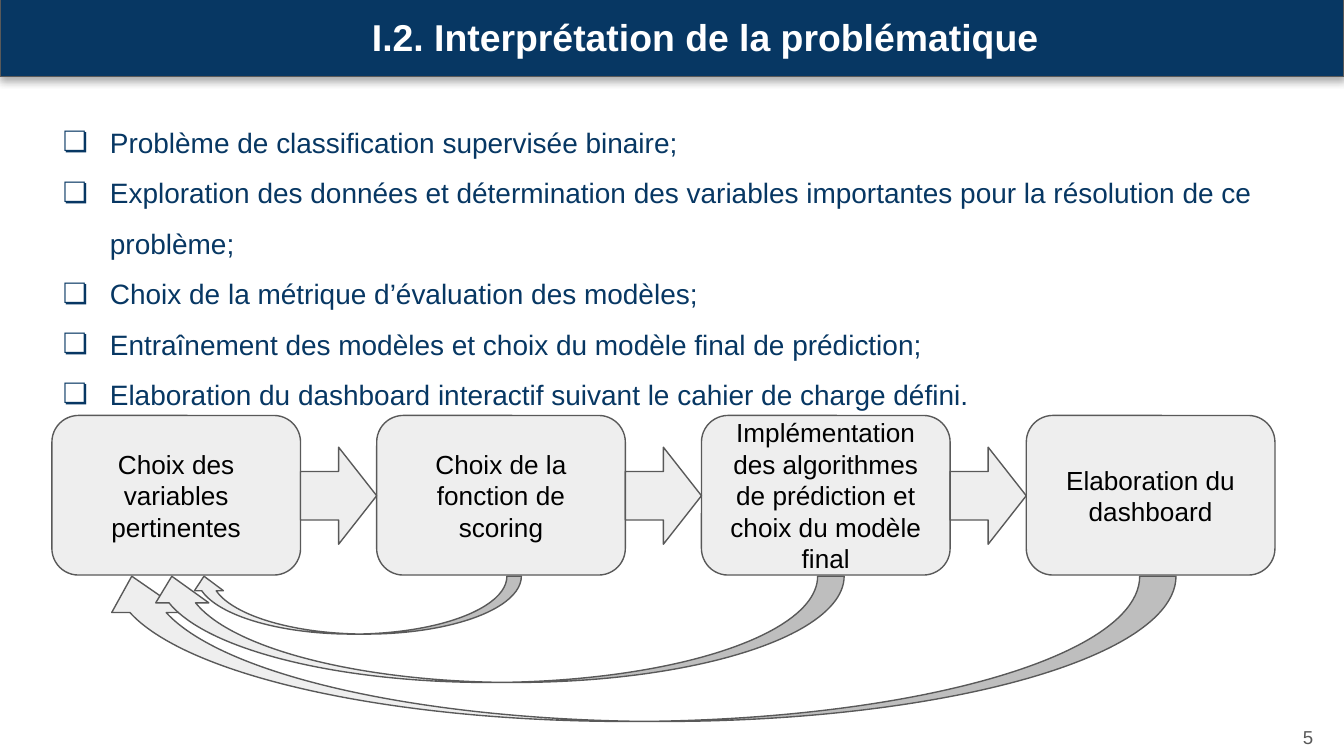
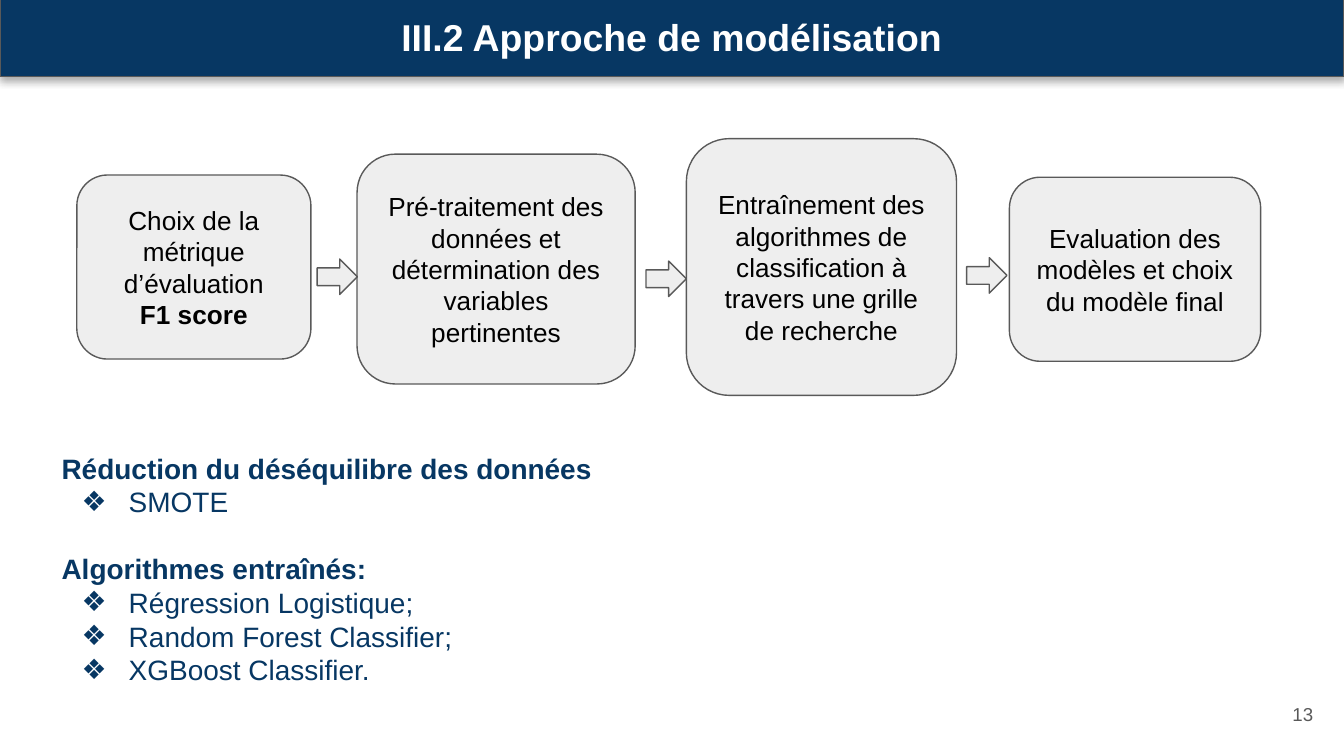
from lxml.etree import SubElement
from pptx import Presentation
from pptx.dml.color import RGBColor
from pptx.enum.shapes import MSO_SHAPE as Shape
from pptx.enum.text import MSO_ANCHOR as Anchor, MSO_AUTO_SIZE as AutoSize, PP_ALIGN as Align
from pptx.oxml.ns import qn
from pptx.util import Pt

NAVY = RGBColor(0x07, 0x37, 0x63)
PALE = RGBColor(0xEE, 0xEE, 0xEE)
GREY = RGBColor(0x59, 0x59, 0x59)
WHITE = RGBColor(0xFF, 0xFF, 0xFF)
BLACK = RGBColor(0, 0, 0)
FONT = "Arial"
WIDTH, HEIGHT = 720, 405

PROBLEM_TITLE = "I.2. Interprétation de la problématique"
PROBLEM_POINTS = [
    "Problème de classification supervisée binaire;",
    "Exploration des données et détermination des variables importantes "
    "pour la résolution de ce problème;",
    "Choix de la métrique d’évaluation des modèles;",
    "Entraînement des modèles et choix du modèle final de prédiction;",
    "Elaboration du dashboard interactif suivant le cahier de charge défini.",
]
PROBLEM_STEPS = [
    "Choix des variables pertinentes",
    "Choix de la fonction de scoring",
    "Implémentation des algorithmes de prédiction et choix du modèle final",
    "Elaboration du dashboard",
]
FEEDBACK_LOOPS = [(51.1, 578.9, 77.8), (77.8, 374.4, 56.9), (101.5, 177.8, 31)]

APPROACH_TITLE = "III.2 Approche de modélisation"
APPROACH_STEPS = [
    (["Choix de la métrique d’évaluation", "F1 score"], (41.2, 93.8, 125.4, 98.6)),
    (["Pré-traitement des données et détermination des variables pertinentes"],
     (191.3, 82.6, 149, 123.1)),
    (["Entraînement des algorithmes de classification à travers une grille de recherche"],
     (367.7, 74.3, 144.7, 137.5)),
    (["Evaluation des modèles et choix du modèle final"], (540.8, 95, 134.6, 98.6)),
]
APPROACH_ARROWS = [(169.9, 138.8), (346.1, 139.9), (517.9, 138.1)]
APPROACH_LISTS = [
    ("Réduction du déséquilibre des données", ["SMOTE"], 234.5, 43.2),
    ("Algorithmes entraînés:",
     ["Régression Logistique;", "Random Forest Classifier;", "XGBoost Classifier."],
     288.5, 98.6),
]


def prepare(frame, anchor):
    frame.word_wrap = True
    frame.auto_size = AutoSize.NONE
    frame.vertical_anchor = anchor
    frame.margin_left = frame.margin_right = Pt(7.2)
    frame.margin_top = frame.margin_bottom = Pt(7.2)


def write(frame, index, text, size, color, align=Align.LEFT, bold=False):
    paragraph = frame.paragraphs[0] if index == 0 else frame.add_paragraph()
    paragraph.alignment = align
    run = paragraph.add_run()
    run.text = text
    font = run.font
    font.name, font.size, font.bold = FONT, Pt(size), bold
    font.color.rgb = color
    return paragraph


def add_bullet(paragraph, mark):
    props = paragraph._p.get_or_add_pPr()
    props.set("marL", str(Pt(36)))
    props.set("indent", str(Pt(-25.2)))
    SubElement(SubElement(props, qn("a:buClr")), qn("a:srgbClr"), val=str(NAVY))
    SubElement(props, qn("a:buFont"), typeface=FONT)
    SubElement(props, qn("a:buChar"), char=mark)


def paint(shape, fill):
    shape.fill.solid()
    shape.fill.fore_color.rgb = fill
    shape.line.color.rgb = GREY
    shape.line.width = Pt(0.75)
    shape.shadow.inherit = False


def add_block(slide, kind, box):
    block = slide.shapes.add_shape(kind, *map(Pt, box))
    paint(block, PALE)
    return block


def add_step(slide, lines, box):
    frame = add_block(slide, Shape.ROUNDED_RECTANGLE, box).text_frame
    prepare(frame, Anchor.MIDDLE)
    for i, line in enumerate(lines):
        write(frame, i, line, 14, BLACK, Align.CENTER, bold=i > 0)


def add_text(slide, box, anchor=Anchor.TOP):
    frame = slide.shapes.add_textbox(*map(Pt, box)).text_frame
    prepare(frame, anchor)
    return frame


def add_slide(deck, heading, number, number_top, heading_indent=0):
    slide = deck.slides.add_slide(deck.slide_layouts[5])
    band = slide.shapes.title
    band.left, band.top, band.width, band.height = map(Pt, (0, -2, WIDTH, 43))
    paint(band, NAVY)
    effects = band._element.spPr.find(qn("a:effectLst"))
    shadow = SubElement(effects, qn("a:outerShdw"), blurRad=str(Pt(4.5)), dist=str(Pt(1.5)),
                        dir="5400000", algn="bl", rotWithShape="0")
    tint = SubElement(shadow, qn("a:srgbClr"), val=str(GREY))
    SubElement(tint, qn("a:alpha"), val="50000")
    prepare(band.text_frame, Anchor.MIDDLE)
    title = write(band.text_frame, 0, heading, 20, WHITE, Align.CENTER, bold=True)
    title._p.get_or_add_pPr().set("marL", str(Pt(heading_indent)))

    footer = add_text(slide, (667.4, number_top, 43.2, 31), Anchor.MIDDLE)
    write(footer, 0, number, 10, GREY, Align.RIGHT)
    return slide


def build_problem(deck):
    slide = add_slide(deck, PROBLEM_TITLE, "5", 379.4, heading_indent=36)
    points = add_text(slide, (15.8, 51.1, 694.8, 162))
    for i, point in enumerate(PROBLEM_POINTS):
        paragraph = write(points, i, point, 15, NAVY)
        paragraph.line_spacing = 1.5
        add_bullet(paragraph, "❏")

    left, top, width, height, pitch = 27.8, 222.6, 133.2, 85.5, 174
    for i, step in enumerate(PROBLEM_STEPS):
        add_step(slide, [step], (left + i * pitch, top, width, height))
    for i in range(len(PROBLEM_STEPS) - 1):
        add_block(slide, Shape.RIGHT_ARROW,
                  (left + width + i * pitch, 239.6, pitch - width, 52))
    for loop_left, loop_width, loop_height in FEEDBACK_LOOPS:
        loop = add_block(slide, Shape.CURVED_DOWN_ARROW,
                         (loop_left, 308.7, loop_width, loop_height))
        loop.rotation = 180


def build_approach(deck):
    slide = add_slide(deck, APPROACH_TITLE, "13", 367.2)
    for lines, box in APPROACH_STEPS:
        add_step(slide, lines, box)
    for left, top in APPROACH_ARROWS:
        add_block(slide, Shape.RIGHT_ARROW, (left, top, 21.6, 19))
    for heading, items, top, height in APPROACH_LISTS:
        frame = add_text(slide, (25.9, top, 307.4, height))
        write(frame, 0, heading, 15, NAVY, bold=True)
        for i, item in enumerate(items, 1):
            add_bullet(write(frame, i, item, 15, NAVY), "❖")


def main():
    deck = Presentation()
    deck.slide_width, deck.slide_height = Pt(WIDTH), Pt(HEIGHT)
    build_problem(deck)
    build_approach(deck)
    deck.save("out.pptx")


if __name__ == "__main__":
    main()
